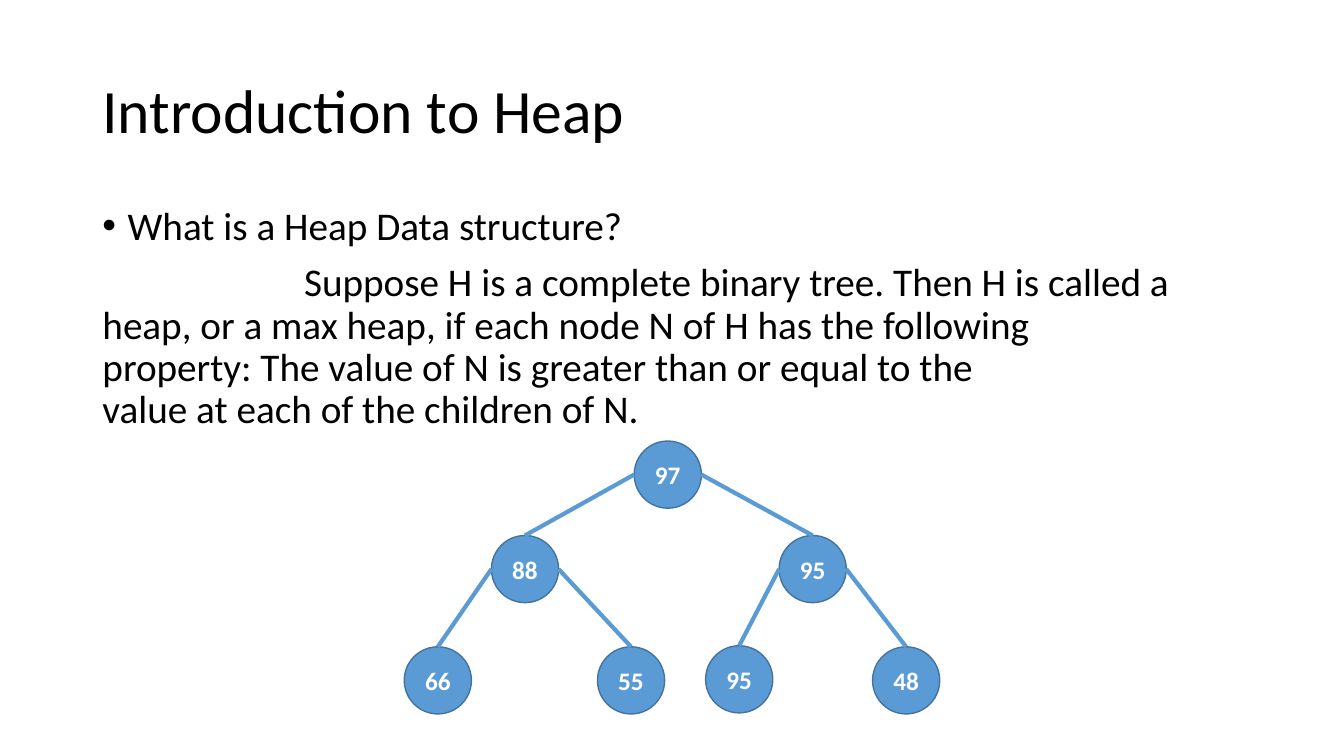
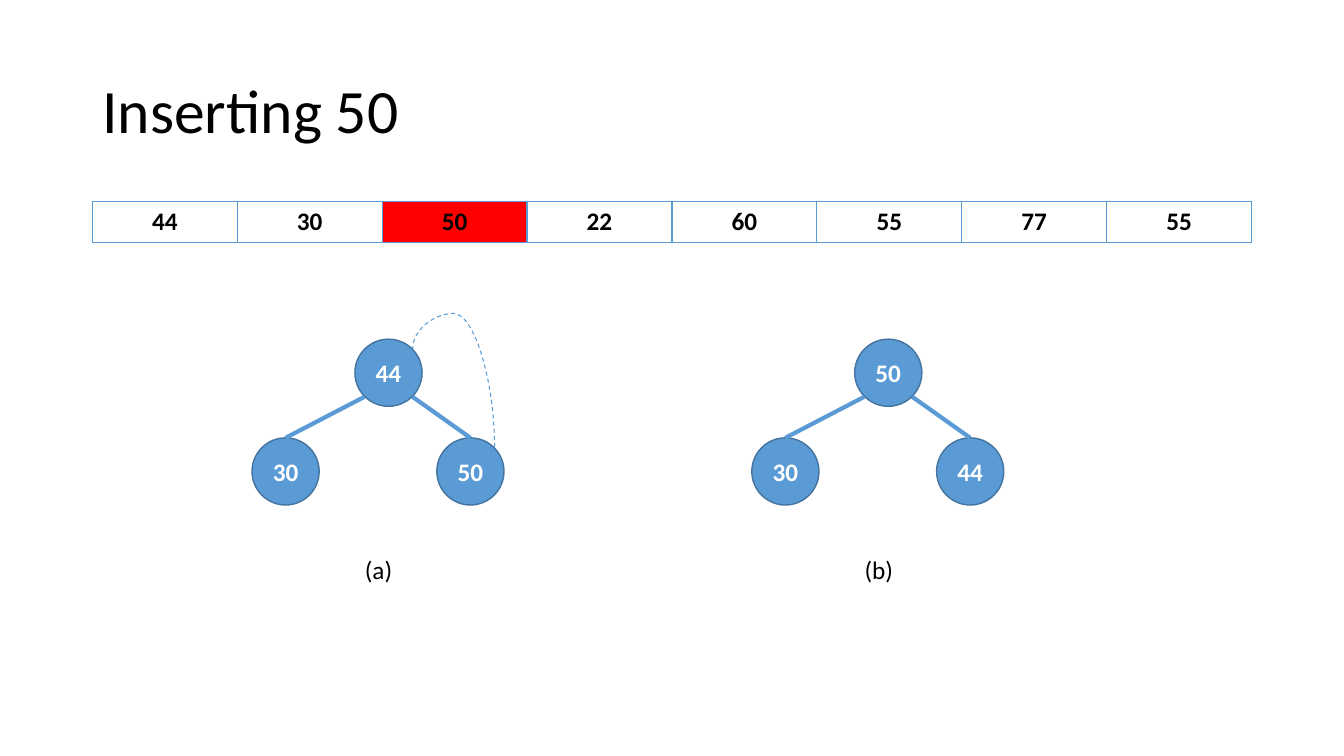
from copy import deepcopy
from dataclasses import dataclass
from math import sqrt

from lxml.etree import SubElement
from pptx import Presentation
from pptx.dml.color import RGBColor
from pptx.enum.dml import MSO_LINE
from pptx.enum.shapes import MSO_CONNECTOR, MSO_SHAPE
from pptx.enum.text import MSO_ANCHOR, MSO_AUTO_SIZE, PP_ALIGN
from pptx.oxml.ns import qn
from pptx.util import Emu, Pt

BLUE = RGBColor(0x5B, 0x9B, 0xD5)
DARK_BLUE = RGBColor(0x43, 0x73, 0x9E)
RED = RGBColor(0xFF, 0x00, 0x00)
BLACK = RGBColor(0x00, 0x00, 0x00)
WHITE = RGBColor(0xFF, 0xFF, 0xFF)
FONT = "Calibri"

MARGIN = 88
CONTENT_TOP = 192
CONTENT_WIDTH = 1104
NODE_SIZE = 64
RADIUS = NODE_SIZE // 2
DIAGONAL_INSET = round(RADIUS * (1 - 1 / sqrt(2)))
TITLE_AND_CONTENT, TITLE_ONLY = 1, 5


@dataclass(frozen=True)
class Node:
    label: str
    x: int
    y: int


@dataclass(frozen=True)
class InsertionStep:
    values: tuple
    offset: int
    caption: str

    def nodes(self) -> list:
        spots = ((338, 323), (240, 417), (416, 417))
        return [Node(value, x + self.offset, y)
                for value, (x, y) in zip(self.values, spots)]


HEAP = [
    Node("97", 604, 420),
    Node("88", 468, 510),
    Node("95", 742, 510),
    Node("66", 385, 616),
    Node("55", 569, 616),
    Node("95", 672, 615),
    Node("48", 831, 616),
]
STEPS = [
    InsertionStep(("44", "30", "50"), 0, "(a)"),
    InsertionStep(("50", "30", "44"), 476, "(b)"),
]
ARRAY = ["44", "30", "50", "22", "60", "55", "77", "55"]
INSERTED = 2
QUESTION = "What is a Heap Data structure?"
DEFINITION = (
    "Suppose H is a complete binary tree. Then H is called a\v"
    "heap, or a max heap, if each node N of H has the following\v"
    "property: The value of N is greater than or equal to the\v"
    "value at each of the children of N."
)


def px(length: int) -> Emu:
    return Emu(length * 9525)


def box(*lengths: int) -> list:
    return [px(length) for length in lengths]


def write_text(paragraph, text: str, *, size: int = 18, color: RGBColor = BLACK,
               bold: bool = False, align=PP_ALIGN.LEFT, line_spacing: float = 1.0,
               space_before: int = 0) -> None:
    paragraph.text = text
    paragraph.alignment = align
    paragraph.line_spacing = line_spacing
    paragraph.space_before = Pt(space_before)
    for run in paragraph.runs:
        run.font.name = FONT
        run.font.size = Pt(size)
        run.font.bold = bold
        run.font.color.rgb = color
    for line_break in paragraph._p.findall(qn("a:br")):
        line_break.append(deepcopy(paragraph.runs[0]._r.rPr))


def set_indent(paragraph, margin: int, first_line: int, bullet: str = "") -> None:
    properties = paragraph._p.get_or_add_pPr()
    properties.set("marL", str(px(margin)))
    properties.set("indent", str(px(first_line)))
    if bullet:
        SubElement(properties, qn("a:buFont"), typeface="Arial")
        SubElement(properties, qn("a:buChar"), char=bullet)
    else:
        SubElement(properties, qn("a:buNone"))


def place(shape, left: int, top: int, width: int, height: int) -> None:
    shape.left, shape.top, shape.width, shape.height = box(left, top, width, height)


def add_titled_slide(prs, layout: int, heading: str):
    slide = prs.slides.add_slide(prs.slide_layouts[layout])
    title = slide.shapes.title
    place(title, MARGIN, 39, CONTENT_WIDTH, 139)
    title.text_frame.vertical_anchor = MSO_ANCHOR.MIDDLE
    title.text_frame.auto_size = MSO_AUTO_SIZE.NONE
    write_text(title.text_frame.paragraphs[0], heading, size=44, line_spacing=0.9)
    return slide


def add_node(slide, node: Node):
    circle = slide.shapes.add_shape(
        MSO_SHAPE.OVAL, *box(node.x, node.y, NODE_SIZE, NODE_SIZE))
    circle.shadow.inherit = False
    circle.fill.solid()
    circle.fill.fore_color.rgb = BLUE
    circle.line.color.rgb = DARK_BLUE
    circle.line.width = Pt(1)
    frame = circle.text_frame
    frame.margin_left = frame.margin_right = 0
    frame.vertical_anchor = MSO_ANCHOR.MIDDLE
    write_text(frame.paragraphs[0], node.label, color=WHITE, bold=True,
               align=PP_ALIGN.CENTER)
    return circle


def add_link(slide, kind, begin: tuple, end: tuple, width: float):
    link = slide.shapes.add_connector(kind, *box(*begin, *end))
    link.line.color.rgb = BLUE
    link.line.width = Pt(width)
    SubElement(link._element.spPr, qn("a:effectLst"))
    return link


def draw_tree(slide, nodes: list, inset: int, drop: int) -> None:
    circles = [add_node(slide, node) for node in nodes]
    for index in range(1, len(nodes)):
        parent, child = nodes[(index - 1) // 2], nodes[index]
        is_left = index % 2 == 1
        begin_x = parent.x + (inset if is_left else NODE_SIZE - inset)
        edge = add_link(slide, MSO_CONNECTOR.STRAIGHT,
                        (begin_x, parent.y + drop), (child.x + RADIUS, child.y), 3)
        edge.end_connect(circles[index], 0)


def draw_swap(slide, root: Node, child: Node) -> None:
    far_side = NODE_SIZE - DIAGONAL_INSET
    rise = child.y - root.y
    run = child.x - root.x
    left = root.x + far_side + (run - rise) // 2
    top = root.y + DIAGONAL_INSET + (rise - run) // 2
    swap = add_link(slide, MSO_CONNECTOR.CURVE, (left, top + run),
                    (left + rise, top), 0.75)
    swap.line.dash_style = MSO_LINE.DASH
    properties = swap._element.spPr
    properties.find(qn("a:xfrm")).set("rot", "16200000")
    adjustments = properties.find(qn("a:prstGeom")).find(qn("a:avLst"))
    SubElement(adjustments, qn("a:gd"), name="adj1", fmla="val 135600")


def add_border(cell, side: str, width: float) -> None:
    line = SubElement(cell._tc.get_or_add_tcPr(), qn(f"a:{side}"), w=str(Pt(width)))
    fill = SubElement(line, qn("a:solidFill"))
    SubElement(fill, qn("a:srgbClr"), val=str(BLUE))


def draw_array(slide) -> None:
    table = slide.shapes.add_table(
        1, len(ARRAY), *box(MARGIN, CONTENT_TOP, CONTENT_WIDTH, 39)).table
    table.first_row = table.horz_banding = False
    for index, value in enumerate(ARRAY):
        table.columns[index].width = px(CONTENT_WIDTH // len(ARRAY))
        cell = table.cell(0, index)
        write_text(cell.text_frame.paragraphs[0], value, bold=True,
                   align=PP_ALIGN.CENTER)
        for side, width in (("lnL", 1), ("lnR", 1), ("lnT", 1), ("lnB", 1.5)):
            add_border(cell, side, width)
        if index == INSERTED:
            cell.fill.solid()
            cell.fill.fore_color.rgb = RED
        else:
            cell.fill.background()


def add_caption(slide, caption: str, left: int) -> None:
    label = slide.shapes.add_textbox(*box(left, 523, 50, 38))
    label.text_frame.word_wrap = False
    label.text_frame.auto_size = MSO_AUTO_SIZE.SHAPE_TO_FIT_TEXT
    write_text(label.text_frame.paragraphs[0], caption)


def build_introduction(prs) -> None:
    slide = add_titled_slide(prs, TITLE_AND_CONTENT, "Introduction to Heap")
    body = slide.placeholders[1]
    place(body, MARGIN, CONTENT_TOP, CONTENT_WIDTH, 457)
    body.text_frame.auto_size = MSO_AUTO_SIZE.NONE
    question = body.text_frame.paragraphs[0]
    set_indent(question, 24, -24, "•")
    write_text(question, QUESTION, size=28, line_spacing=0.9)
    definition = body.text_frame.add_paragraph()
    set_indent(definition, 0, 192)
    write_text(definition, DEFINITION, size=28, line_spacing=0.9, space_before=10)
    draw_tree(slide, HEAP, inset=0, drop=RADIUS)


def build_insertion(prs) -> None:
    slide = add_titled_slide(prs, TITLE_ONLY, "Inserting 50")
    draw_array(slide)
    for step in STEPS:
        nodes = step.nodes()
        draw_tree(slide, nodes, inset=DIAGONAL_INSET, drop=NODE_SIZE - DIAGONAL_INSET)
        add_caption(slide, step.caption, nodes[0].x)
    before = STEPS[0].nodes()
    draw_swap(slide, before[0], before[2])


def main() -> None:
    prs = Presentation()
    prs.slide_width, prs.slide_height = box(1280, 720)
    build_introduction(prs)
    build_insertion(prs)
    prs.save("out.pptx")


if __name__ == "__main__":
    main()
